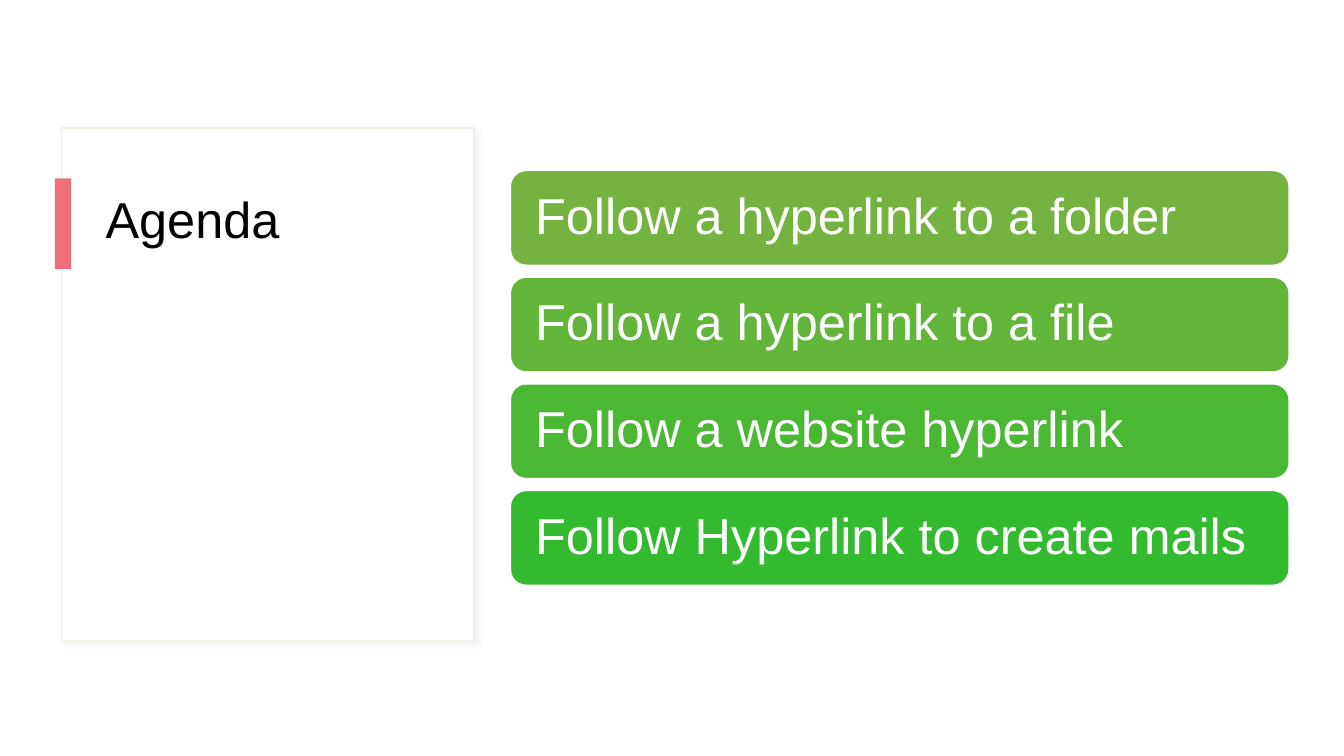
from lxml.etree import SubElement
from pptx import Presentation
from pptx.dml.color import RGBColor
from pptx.enum.shapes import MSO_SHAPE
from pptx.enum.text import MSO_ANCHOR, PP_ALIGN
from pptx.oxml.ns import qn
from pptx.util import Pt

HUES = {"white": "FFFFFF", "black": "000000", "edge": "F0EDE5",
        "shade": "D9D9D9", "accent": "EE6E7E"}
ITEMS = {
    "Follow a hyperlink to a folder": "74B33F",
    "Follow a hyperlink to a file": "61B539",
    "Follow a website hyperlink": "4BB834",
    "Follow Hyperlink to create mails": "33BA2E",
}
TITLE = {"vertical_anchor": MSO_ANCHOR.TOP, "margin_left": Pt(7.2),
         "margin_right": Pt(7.2), "margin_top": Pt(3.6), "margin_bottom": Pt(3.6)}
LABEL = {"vertical_anchor": MSO_ANCHOR.MIDDLE, "margin_left": Pt(14.4),
         "margin_right": Pt(14.4), "margin_top": Pt(10.8), "margin_bottom": Pt(10.8)}


def assign(target, values):
    for name, value in values.items():
        setattr(target, name, value)


class Painter:
    """Draws styled elements on the current slide."""

    font = {"name": "Arial", "size": Pt(36)}
    para = {"line_spacing": 0.9, "alignment": PP_ALIGN.LEFT}

    def __init__(self, slide):
        self.slide = slide

    def block(self, box, fill, edge=None, kind=MSO_SHAPE.RECTANGLE):
        shape = self.slide.shapes.add_shape(kind, *map(Pt, box))
        shape.shadow.inherit = False
        shape.fill.solid()
        shape.fill.fore_color.rgb = RGBColor.from_string(fill)
        if edge:
            shape.line.color.rgb = RGBColor.from_string(edge)
            shape.line.width = Pt(1)
        else:
            shape.line.fill.background()
        return shape

    def card(self, box):
        shape = self.block(box, HUES["white"], HUES["edge"])
        effects = shape.element.spPr.find(qn("a:effectLst"))
        shadow = SubElement(effects, qn("a:outerShdw"), blurRad=str(Pt(4)),
                            dist=str(Pt(3)), dir="2700000", algn="tl", rotWithShape="0")
        color = SubElement(shadow, qn("a:srgbClr"), val=HUES["shade"])
        SubElement(color, qn("a:alpha"), val="30000")

    def label(self, shape, text, color, frame):
        assign(shape.text_frame, {"word_wrap": True, **frame})
        line = shape.text_frame.paragraphs[0]
        assign(line, self.para)
        run = line.add_run()
        run.text = text
        assign(run.font, self.font)
        run.font.color.rgb = RGBColor.from_string(color)

    def title(self, box, text):
        shape = self.slide.shapes.add_textbox(*map(Pt, box))
        self.label(shape, text, HUES["black"], TITLE)

    def bar(self, box, text, fill):
        shape = self.block(box, fill, HUES["white"], MSO_SHAPE.ROUNDED_RECTANGLE)
        self.label(shape, text, HUES["white"], LABEL)


def main():
    deck = Presentation()
    deck.slide_width, deck.slide_height = Pt(960), Pt(540)
    painter = Painter(deck.slides.add_slide(deck.slide_layouts[6]))
    painter.card((44, 91.4, 294.6, 366))
    painter.title((68.4, 135.4, 244, 277), "Agenda")
    painter.block((39.2, 127.4, 11.6, 64.8), HUES["accent"])
    for row, (text, fill) in enumerate(ITEMS.items()):
        painter.bar((364.6, 121.8 + 76.2 * row, 556.2, 67.7), text, fill)
    deck.save("out.pptx")


if __name__ == "__main__":
    main()
